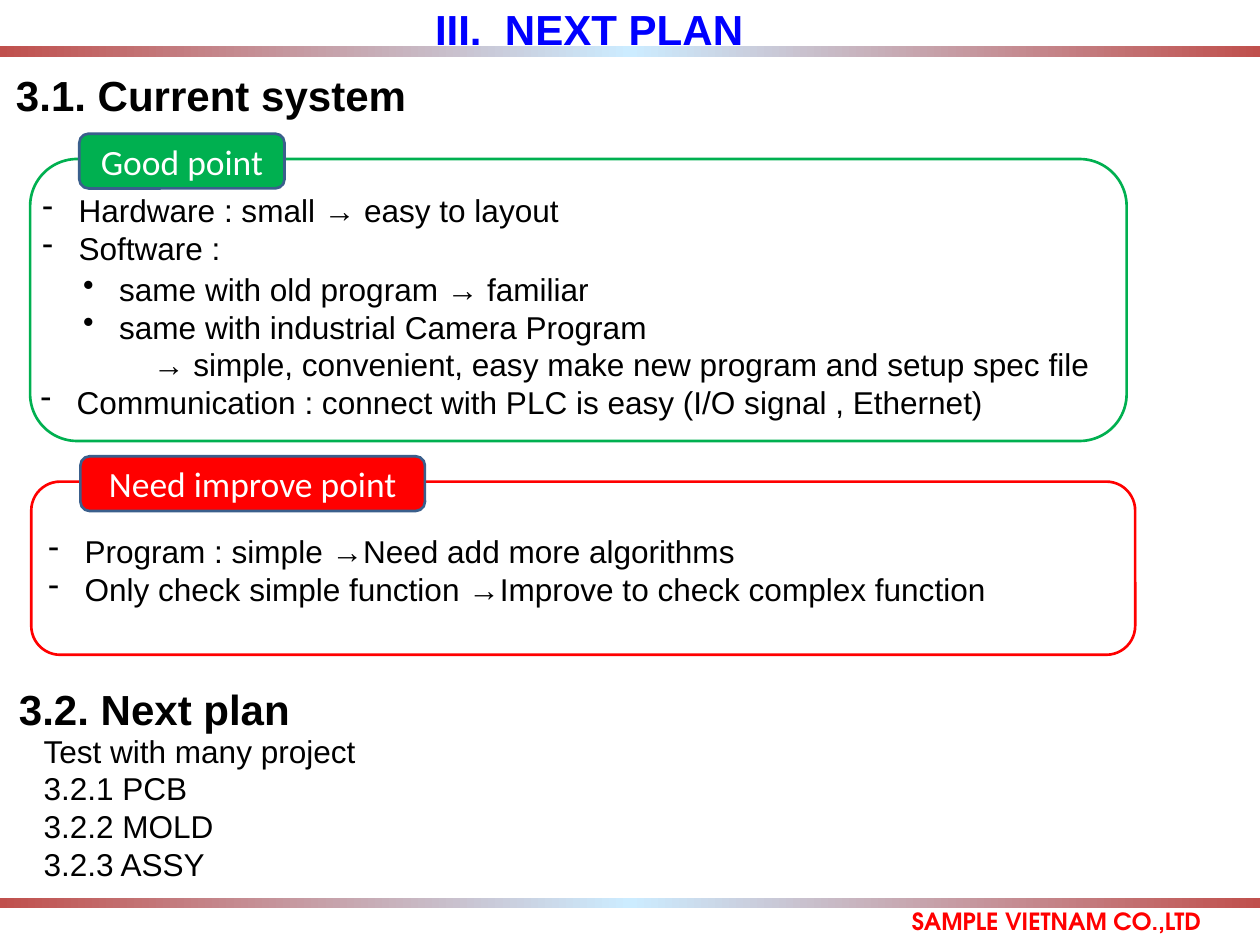
from copy import deepcopy
from lxml.etree import SubElement
from pptx import Presentation
from pptx.dml.color import RGBColor as RGB
from pptx.enum.shapes import MSO_SHAPE as SHAPE
from pptx.enum.text import MSO_ANCHOR as ANCHOR, MSO_AUTO_SIZE as SIZE, PP_ALIGN as ALIGN
from pptx.oxml.ns import qn
from pptx.util import Cm, Pt

BLACK = RGB(0, 0, 0)
WHITE = RGB(255, 255, 255)
BLUE = RGB(0, 0, 255)
RED = RGB(255, 0, 0)
GREEN = RGB(0, 0xB0, 0x50)
NAVY = RGB(0x3A, 0x5F, 0x8C)
BRICK = RGB(0xC0, 0x50, 0x4D)
SKY = RGB(0xCC, 0xEC, 0xFF)
WIDE, HIGH = 33.83, 25.37
HANG = 0.97


def style(frame, size, color=BLACK, font="Arial", bold=False, align=ALIGN.LEFT):
    for para in frame.paragraphs:
        para.alignment = align
        for run in para.runs:
            run.font.name, run.font.size = font, Pt(size)
            run.font.bold, run.font.color.rgb = bold, color


def pad(frame, side, top):
    frame.word_wrap = True
    frame.margin_left = frame.margin_right = Cm(side)
    frame.margin_top = frame.margin_bottom = Cm(top)


def write(slide, box, lines, size=24, **look):
    frame = slide.shapes.add_textbox(*map(Cm, box)).text_frame
    frame.text = "\n".join(lines)
    pad(frame, 0.33, 0.18)
    style(frame, size, **look)
    return frame


def indent(para, left, first=0, mark=None):
    props = para._p.get_or_add_pPr()
    props.set("marL", str(Cm(left)))
    props.set("indent", str(Cm(first)))
    if mark:
        SubElement(props, qn("a:buChar")).set("char", mark)


def shape(slide, kind, box):
    item = slide.shapes.add_shape(kind, *map(Cm, box))
    item.shadow.inherit = False
    return item


def band(slide, box):
    bar = shape(slide, SHAPE.RECTANGLE, box)
    bar.line.fill.background()
    bar.fill.gradient()
    bar.fill.gradient_angle = 0
    first, last = bar.fill.gradient_stops
    first.color.rgb, first.position = SKY, 0.5
    mid = deepcopy(first._gs)
    first.color.rgb, first.position = BRICK, 0
    last.color.rgb, last.position = BRICK, 1
    first._gs.addnext(mid)


def header(slide, box):
    left, top, width, height = box
    band(slide, (left, top + 1.24, width, 0.28))
    title = slide.shapes.title
    title.left, title.top = Cm(left + 4.85), Cm(top - 0.03)
    title.width, title.height = Cm(21.95), Cm(height)
    frame = title.text_frame
    frame.text = "III.  NEXT PLAN"
    frame.auto_size = SIZE.NONE
    frame.vertical_anchor = ANCHOR.TOP
    pad(frame, 0.25, 0.13)
    style(frame, 32, BLUE, bold=True, align=ALIGN.CENTER)


def footer(slide, box):
    left, top, width, height = box
    band(slide, (left, top, width, 0.28))
    write(slide, (left + 22.83, top + 0.08, 11.07, height), ["SAMPLE VIETNAM CO.,LTD"], 18,
          color=RED, font="TeX Gyre Adventor", bold=True, align=ALIGN.CENTER)


def panel(slide, box, color, label, span, blocks):
    left, top, width, height = box
    for dx, dy, tall, mark, lines in blocks:
        frame = write(slide, (left + dx, top + dy, width, tall), lines)
        for para in frame.paragraphs:
            if para.text.startswith("→"):
                indent(para, 1.88)
            else:
                indent(para, HANG, -HANG, mark)
    edge = shape(slide, SHAPE.ROUNDED_RECTANGLE, box)
    edge.fill.background()
    edge.line.color.rgb, edge.line.width = color, Pt(2)
    tab = shape(slide, SHAPE.ROUNDED_RECTANGLE, (left + 1.32, top - 0.68, span, 1.47))
    tab.fill.solid()
    tab.fill.fore_color.rgb = color
    tab.line.color.rgb, tab.line.width = NAVY, Pt(2)
    frame = tab.text_frame
    frame.text = label
    frame.vertical_anchor = ANCHOR.MIDDLE
    style(frame, 27, WHITE, "Calibri", align=ALIGN.CENTER)


def current(slide, box):
    left, top, width, height = box
    write(slide, (left, top, 11.94, 1.7), ["3.1. Current system"], 32, bold=True)
    panel(slide, (left + 0.71, top + 2.59, 29.44, 7.57), GREEN, "Good point", 5.51, [
        (0, 0.69, 2.39, "-", ["Hardware : small → easy to layout", "Software :"]),
        (1.09, 2.79, 3.33, "•", [
            "same with old program → familiar",
            "same with industrial Camera Program",
            "→ simple, convenient, easy make new program and setup spec file"]),
        (-0.05, 5.82, 1.27, "-", [
            "Communication : connect with PLC is easy (I/O signal , Ethernet)"])])
    panel(slide, (left + 0.74, top + 11.25, 29.64, 4.65), RED, "Need improve point", 9.25, [
        (0.13, 1.17, 2.39, "-", [
            "Program : simple →Need add more algorithms",
            "Only check simple function →Improve to check complex function"])])


def plan(slide, box):
    left, top, width, height = box
    write(slide, (left, top, 12.14, 1.7), ["3.2. Next plan"], 32, bold=True)
    steps = [f"3.2.{n} {part}" for n, part in enumerate(("PCB", "MOLD", "ASSY"), 1)]
    write(slide, (left + 0.66, top + 1.3, 15.49, 4.45), ["Test with many project"] + steps)


deck = Presentation()
deck.slide_width, deck.slide_height = Cm(WIDE), Cm(HIGH)
page = deck.slides.add_slide(deck.slide_layouts[5])
header(page, (0, 0, WIDE, 1.63))
current(page, (0.1, 1.68, WIDE, 15.9))
plan(page, (0.18, 18.16, WIDE, 5.75))
footer(page, (0, 24.1, WIDE, 1.14))
deck.save("out.pptx")
